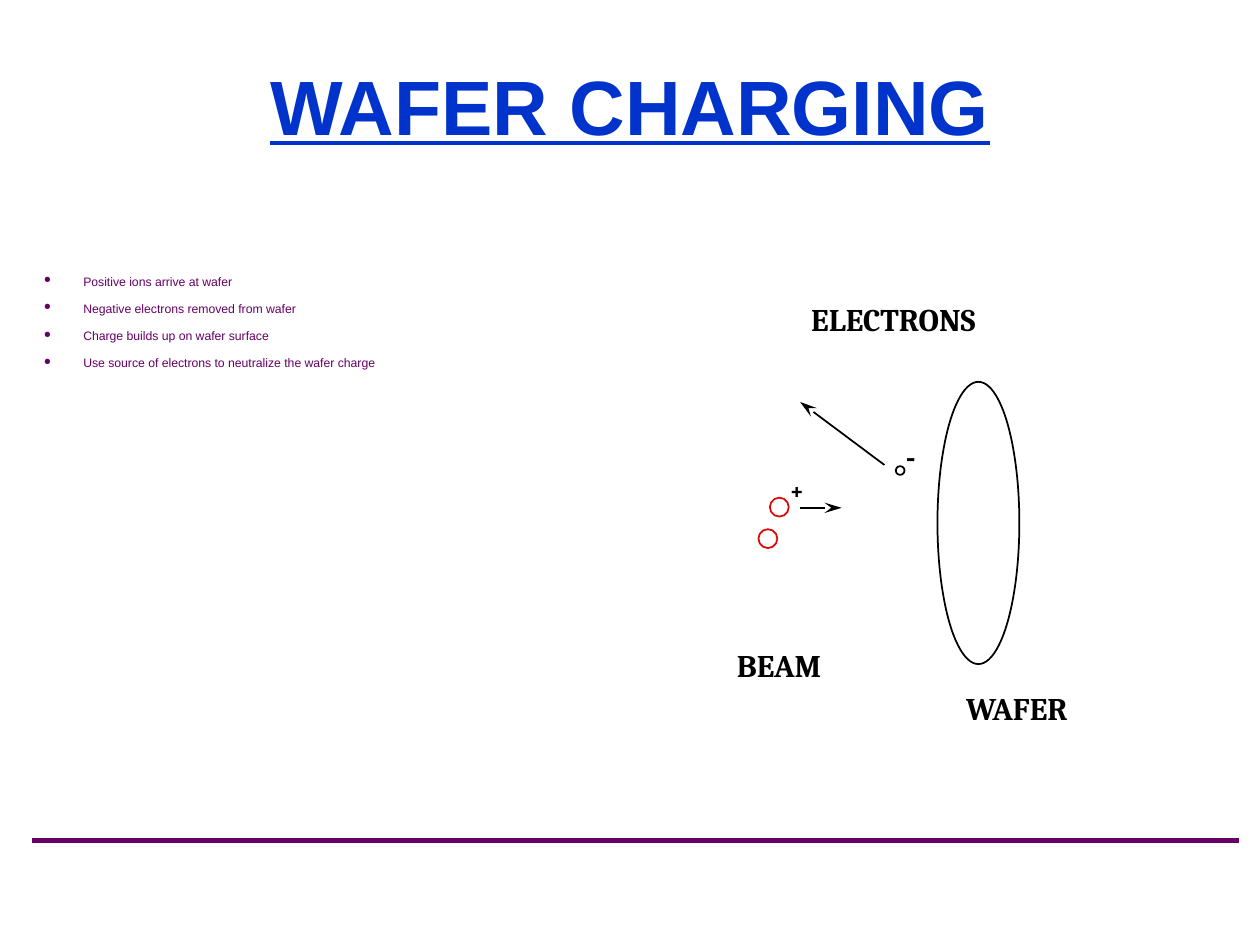
from lxml.etree import SubElement
from pptx import Presentation
from pptx.dml.color import RGBColor
from pptx.enum.shapes import MSO_CONNECTOR, MSO_SHAPE
from pptx.enum.text import MSO_ANCHOR, MSO_AUTO_SIZE, PP_ALIGN
from pptx.oxml.ns import qn
from pptx.util import Pt

COLORS = {"title": "0033CC", "purple": "660066", "ink": "000000",
          "ion": "DD0806", "white": "FFFFFF"}

presentation = Presentation()
presentation.slide_width, presentation.slide_height = Pt(720), Pt(540)
slide = presentation.slides.add_slide(presentation.slide_layouts[6])


def add_text(paragraph, text, font_name, size, color, bold=False):
    run = paragraph.add_run()
    run.text = text
    run.font.name, run.font.size, run.font.bold = font_name, Pt(size), bold
    run.font.color.rgb = RGBColor.from_string(COLORS[color])
    return run


def add_line(start, end, color, width):
    connector = slide.shapes.add_connector(
        MSO_CONNECTOR.STRAIGHT, *(Pt(value) for value in start + end))
    connector.line.color.rgb = RGBColor.from_string(COLORS[color])
    connector.line.width = Pt(width)
    SubElement(connector._element.spPr, qn("a:effectLst"))
    return connector


# Footer rule
add_line((18, 480.2), (707.8, 480.2), "purple", 3)

# Title
title = slide.shapes.add_textbox(Pt(30), Pt(18), Pt(660), Pt(90)).text_frame
title.word_wrap = True
title.vertical_anchor = MSO_ANCHOR.MIDDLE
paragraph = title.paragraphs[0]
paragraph.alignment = PP_ALIGN.CENTER
paragraph.line_spacing = 0.9
add_text(paragraph, "WAFER CHARGING", "Arial", 44, "title", True).font.underline = True

# Bullet list
bullets = ["Positive ions arrive at wafer",
           "Negative electrons removed from wafer",
           "Charge builds up on wafer surface",
           "Use source of electrons to neutralize the wafer charge"]
body = slide.shapes.add_textbox(Pt(18), Pt(156), Pt(342), Pt(36)).text_frame
body.word_wrap = True
for index, text in enumerate(bullets):
    paragraph = body.add_paragraph() if index else body.paragraphs[0]
    paragraph.line_spacing = 0.6
    paragraph.space_before = Pt(10.5 if index else 0)
    properties = paragraph._p.get_or_add_pPr()
    properties.set("marL", str(Pt(22.5)))
    properties.set("indent", str(Pt(-22.5)))
    bullet_color = SubElement(properties, qn("a:buClr"))
    SubElement(bullet_color, qn("a:srgbClr"), val=COLORS["purple"])
    SubElement(properties, qn("a:buSzPct"), val="75000")
    SubElement(properties, qn("a:buChar"), char="●")
    add_text(paragraph, text, "Arial", 7, "purple")

# Wafer, ions and electron
ellipses = [(535.7, 218.2, 46.8, 161.3, "ink"),
            (433.4, 302.4, 10.8, 10.8, "ion"),
            (439.9, 284.4, 10.8, 10.8, "ion"),
            (511.9, 266.4, 5, 5, "ink")]
for left, top, width, height, color in ellipses:
    shape = slide.shapes.add_shape(MSO_SHAPE.OVAL, Pt(left), Pt(top), Pt(width), Pt(height))
    shape.shadow.inherit = False
    shape.fill.solid()
    shape.fill.fore_color.rgb = RGBColor.from_string(COLORS["white"])
    shape.line.color.rgb = RGBColor.from_string(COLORS[color])
    shape.line.width = Pt(1)

# Diagram labels and charge signs
labels = [("WAFER", 545, 390.2, 82.8, 28.8, 18),
          ("BEAM", 414, 365.8, 69.1, 28.8, 18),
          ("ELECTRONS", 456.5, 167.8, 125.3, 28.8, 18),
          ("+", 444.2, 267.8, 22.3, 23.8, 14),
          ("-", 510.5, 246.2, 20.2, 28.8, 18)]
for text, left, top, width, height, size in labels:
    label = slide.shapes.add_textbox(Pt(left), Pt(top), Pt(width), Pt(height)).text_frame
    label.word_wrap = False
    label.auto_size = MSO_AUTO_SIZE.SHAPE_TO_FIT_TEXT
    add_text(label.paragraphs[0], text, "Cambria", size, "ink", True)

# Directions of the ion and the electron
for start, end in [((457.2, 290.2), (481, 290.2)), ((505.4, 265.7), (457.2, 229.7))]:
    arrow = add_line(start, end, "ink", 1)
    SubElement(arrow.line._get_or_add_ln(), qn("a:tailEnd"),
               type="stealth", w="med", len="lg")

presentation.save("out.pptx")
